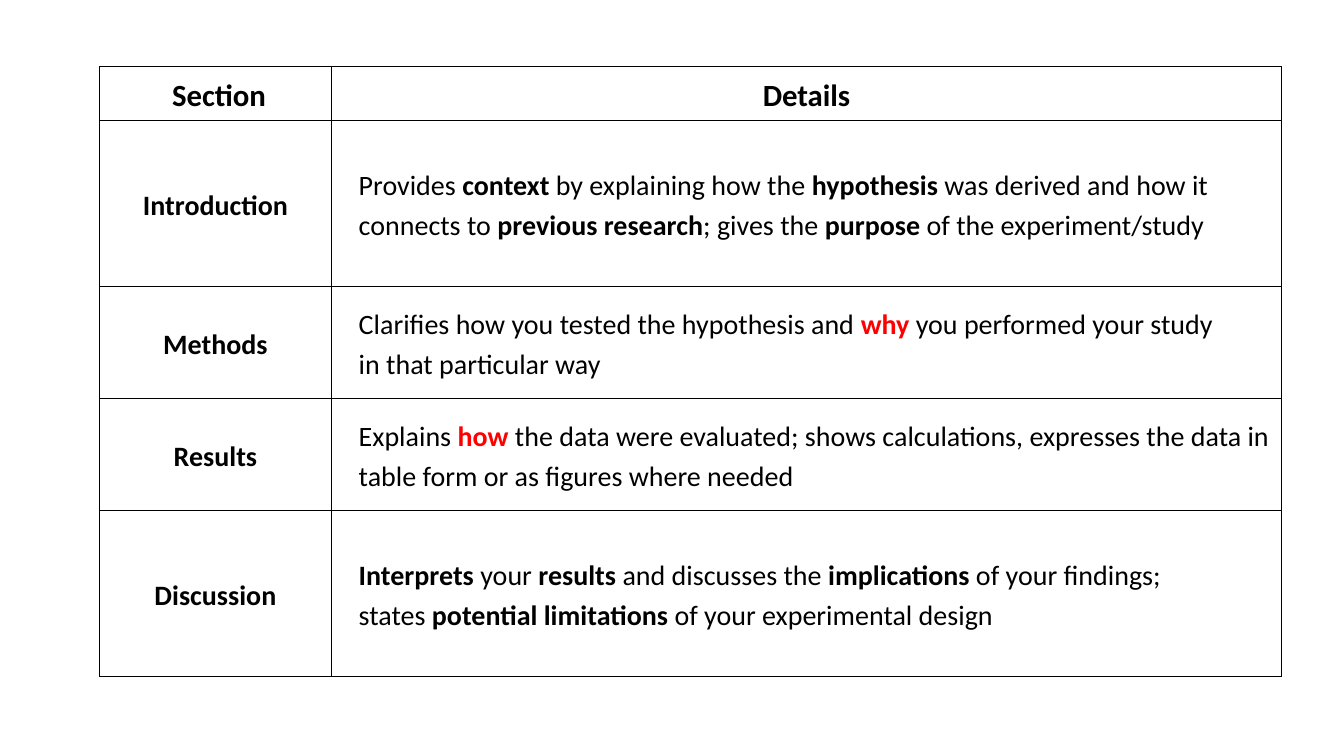
from dataclasses import dataclass

from lxml.etree import SubElement
from pptx import Presentation
from pptx.dml.color import RGBColor
from pptx.enum.text import MSO_ANCHOR, PP_ALIGN
from pptx.oxml.ns import qn
from pptx.table import _Cell
from pptx.text.text import _Paragraph
from pptx.util import Cm, Pt

BLACK = "000000"
RED = "FF0000"
FONT = "Calibri"
HEADER_SIZE = 22
BODY_SIZE = 20
COLUMN_WIDTHS = (5.84, 23.95)
CELL_MARGIN = Cm(0.03)
DETAIL_INDENT = Cm(0.66)


@dataclass(frozen=True)
class Span:
    text: str
    bold: bool = False
    color: str = BLACK


@dataclass(frozen=True)
class Row:
    section: str
    details: tuple[Span, ...]
    height: float
    header: bool = False


ROWS = (
    Row(" Section", (Span("Details", True),), 1.35, True),
    Row("Introduction", (
        Span("Provides "), Span("context", True),
        Span(" by explaining how the "), Span("hypothesis", True),
        Span(" was derived and how it connects to "),
        Span("previous research", True), Span("; gives the "),
        Span("purpose", True), Span(" of the experiment/study"),
    ), 4.19),
    Row("Methods", (
        Span("Clarifies how you tested the hypothesis and "),
        Span("why", True, RED),
        Span(" you performed your study \nin that particular way"),
    ), 2.82),
    Row("Results", (
        Span("Explains "), Span("how", True, RED),
        Span(" the data were evaluated; shows calculations, expresses "
             "the data in table form or as figures where needed"),
    ), 2.82),
    Row("Discussion", (
        Span("Interprets", True), Span(" your "), Span("results", True),
        Span(" and discusses the "), Span("implications", True),
        Span(" of your findings; \nstates "),
        Span("potential limitations ", True),
        Span("of your experimental design"),
    ), 4.19),
)


def rgb(color: str) -> RGBColor:
    return RGBColor.from_string(color)


def add_span(para: _Paragraph, span: Span, size: int) -> None:
    for index, line in enumerate(span.text.split("\n")):
        if index:
            para.add_line_break()
        run = para.add_run()
        run.text = line
        run.font.name = FONT
        run.font.size = Pt(size)
        run.font.bold = span.bold
        run.font.color.rgb = rgb(span.color)


def add_borders(cell: _Cell) -> None:
    properties = cell._tc.get_or_add_tcPr()
    for side in ("lnL", "lnR", "lnT", "lnB"):
        line = SubElement(properties, qn(f"a:{side}"), w=str(Pt(1)))
        fill = SubElement(line, qn("a:solidFill"))
        SubElement(fill, qn("a:srgbClr"), val=BLACK)


def fill_cell(cell: _Cell, spans: tuple[Span, ...], size: int, centered: bool) -> None:
    add_borders(cell)
    cell.fill.background()
    cell.vertical_anchor = MSO_ANCHOR.MIDDLE
    cell.margin_left = cell.margin_right = CELL_MARGIN
    cell.margin_top = cell.margin_bottom = CELL_MARGIN
    para = cell.text_frame.paragraphs[0]
    para.line_spacing = 1.15
    if centered:
        para.alignment = PP_ALIGN.CENTER
    else:
        para.alignment = PP_ALIGN.LEFT
        para._p.get_or_add_pPr().set("marL", str(DETAIL_INDENT))
    for span in spans:
        add_span(para, span, size)


def main() -> None:
    deck = Presentation()
    deck.slide_width = Cm(33.87)
    deck.slide_height = Cm(19.05)
    page = deck.slides.add_slide(deck.slide_layouts[6])
    table = page.shapes.add_table(
        len(ROWS), len(COLUMN_WIDTHS), Cm(2.51), Cm(1.68),
        Cm(sum(COLUMN_WIDTHS)), Cm(sum(row.height for row in ROWS)),
    ).table
    table.first_row = False
    table.horz_banding = False
    for column, width in zip(table.columns, COLUMN_WIDTHS):
        column.width = Cm(width)
    for index, row in enumerate(ROWS):
        table.rows[index].height = Cm(row.height)
        size = HEADER_SIZE if row.header else BODY_SIZE
        fill_cell(table.cell(index, 0), (Span(row.section, True),), size, True)
        fill_cell(table.cell(index, 1), row.details, size, row.header)
    deck.save("out.pptx")


if __name__ == "__main__":
    main()
